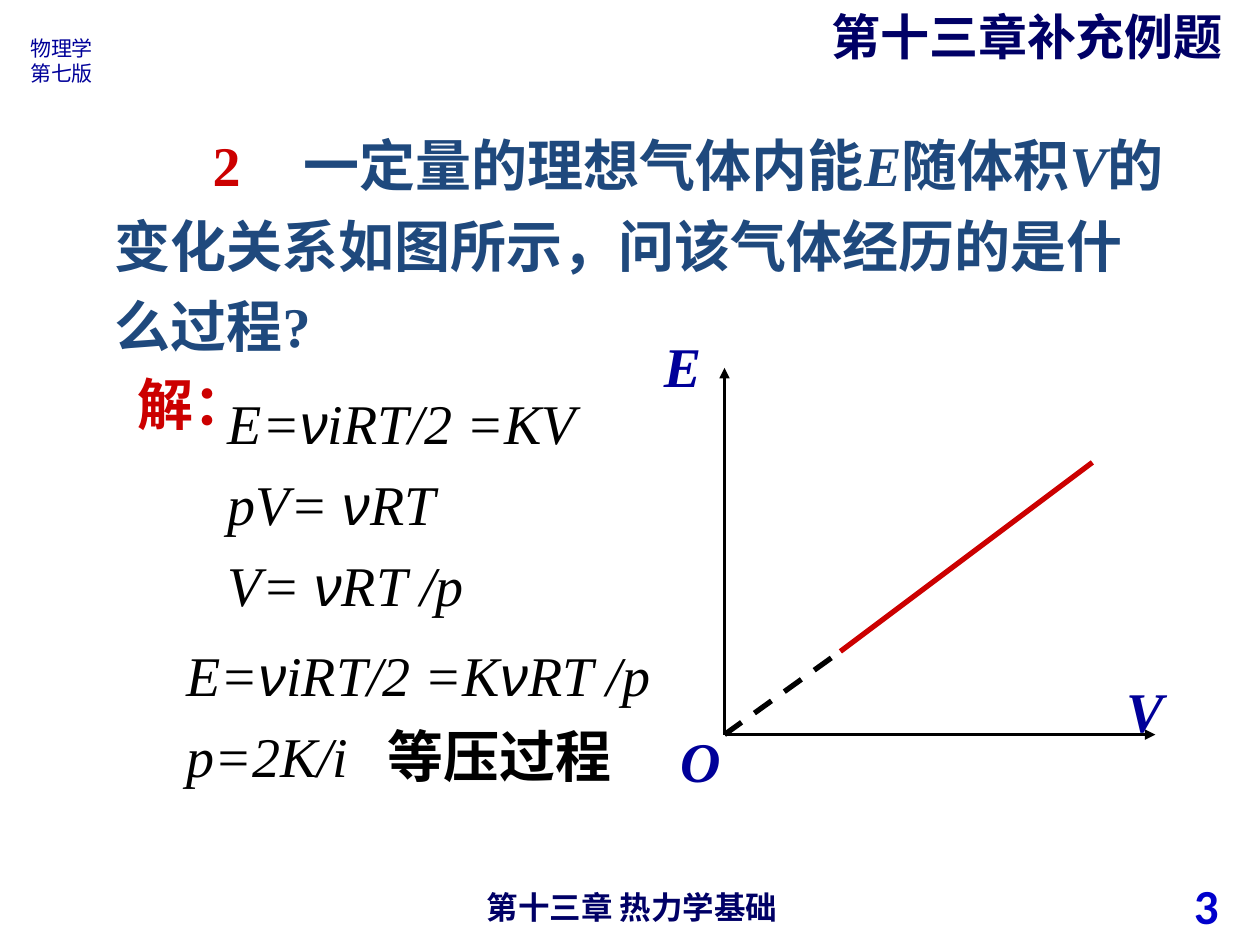
from lxml import etree
from pptx import Presentation
from pptx.dml.color import RGBColor
from pptx.enum.dml import MSO_LINE
from pptx.enum.shapes import MSO_CONNECTOR
from pptx.enum.text import MSO_ANCHOR, PP_ALIGN
from pptx.oxml.ns import qn
from pptx.util import Inches, Pt

STRAIGHT = MSO_CONNECTOR.STRAIGHT
DASH = MSO_LINE.DASH
MIDDLE = MSO_ANCHOR.MIDDLE
LEFT, CENTER, RIGHT = PP_ALIGN.LEFT, PP_ALIGN.CENTER, PP_ALIGN.RIGHT
SANS, SERIF = "Noto Sans CJK SC", "Times New Roman"
RED, NAVY, BLUE, BLACK = "CC0000", "000066", "000099", "000000"

prs = Presentation()
prs.slide_width, prs.slide_height = Inches(10), Inches(7.5)
slide = prs.slides.add_slide(prs.slide_layouts[6])


def add_text(box, lines, size, color, font=SERIF, bold=False, italic=False,
             align=LEFT, spacing=None, wrap=True, indent=0, tab=None):
    frame = slide.shapes.add_textbox(*map(Inches, box)).text_frame
    frame.word_wrap = wrap
    for number, runs in enumerate(lines):
        paragraph = frame.add_paragraph() if number else frame.paragraphs[0]
        paragraph.alignment = align
        paragraph.line_spacing = spacing
        properties = paragraph._p.get_or_add_pPr()
        if indent:
            properties.set("indent", str(Inches(indent)))
        if tab:
            tabs = etree.SubElement(properties, qn("a:tabLst"))
            etree.SubElement(tabs, qn("a:tab"), pos=str(Inches(tab)), algn="l")
        paragraph.font.size = Pt(size)
        paragraph.font.bold = bold
        paragraph.font.italic = italic
        paragraph.font.color.rgb = RGBColor.from_string(color)
        paragraph.font.name = font
        etree.SubElement(properties.find(qn("a:defRPr")), qn("a:ea"), typeface=SANS)
        for text, changes in runs:
            run = paragraph.add_run()
            run.text = text
            for attribute, value in changes.items():
                if attribute == "color":
                    run.font.color.rgb = RGBColor.from_string(value)
                else:
                    setattr(run.font, attribute, value)
    return frame


def add_line(start, end, color, width, dash=None, arrow=False):
    connector = slide.shapes.add_connector(STRAIGHT, *map(Inches, start + end))
    connector.line.color.rgb = RGBColor.from_string(color)
    connector.line.width = Pt(width)
    if dash:
        connector.line.dash_style = dash
    if arrow:
        etree.SubElement(connector.line._get_or_add_ln(), qn("a:tailEnd"), type="triangle")
    etree.SubElement(connector._element.spPr, qn("a:effectLst"))


page_number = add_text((7.44, 6.98, 2.33, 0.4), [[("3", {})]], 28, "0000CC",
                       font="Calibri", bold=True, align=RIGHT)
page_number.vertical_anchor = MIDDLE
add_text((3.43, 7, 3.17, 0.29), [[("第十三章 热力学基础", {})]], 18, NAVY,
         font=SANS, bold=True, align=CENTER)
add_text((6.5, 0, 3.5, 0.57), [[("第十三章补充例题", {})]], 28, NAVY, font=SANS, bold=True)
add_text((0.14, 0.23, 0.72, 0.5), [[("物理学", {})], [("第七版", {})]], 12, BLUE, font=SANS)

symbol = {"italic": True}
question = [
    ("2\t", {"color": RED}),
    ("一定量的理想气体内能", {}),
    ("E", symbol),
    ("随体积", {}),
    ("V", symbol),
    ("的变化关系如图所示，问该气体经历的是什么过程?", {}),
]
add_text((0.81, 0.88, 8.6, 2.02), [question], 32, "1F497D", bold=True,
         spacing=1.2, indent=0.78, tab=1.3)

origin = (5.75, 5.83)
solid_start = (6.67, 5.17)
for axis_end in [(5.75, 2.92), (9.17, 5.83)]:
    add_line(origin, axis_end, BLACK, 1.5, arrow=True)
for label, left, top in [("E", 5.17, 2.58), ("V", 8.84, 5.32), ("O", 5.3, 5.72)]:
    add_text((left, top, 0.5, 0.64), [[(label, {})]], 32, BLUE,
             bold=True, italic=True, wrap=False)
add_line(origin, solid_start, BLACK, 3, dash=DASH)
add_line(solid_start, (8.67, 3.67), RED, 3)

nu = ("ν", {"name": "Arial"})
given = [
    [("E=", {}), nu, ("iRT/2 =KV", {})],
    [("pV= ", {}), nu, ("RT", {})],
    [("V= ", {}), nu, ("RT /p", {})],
]
result = [
    [("E=", {}), nu, ("iRT/2 =K", {}), nu, ("RT /p", {})],
    [("p=2K/i\t", {}), ("等压过程", {"italic": False, "bold": True})],
]
add_text((1.71, 2.93, 2.98, 2.02), given, 32, BLACK, italic=True, spacing=1.2)
add_text((1.38, 4.93, 3.99, 1.38), result, 32, BLACK, italic=True, spacing=1.2, tab=1.6)
add_text((0.99, 2.88, 1.09, 0.64), [[("解：", {})]], 32, RED,
         font="Arial", bold=True, wrap=False)

prs.save("out.pptx")
